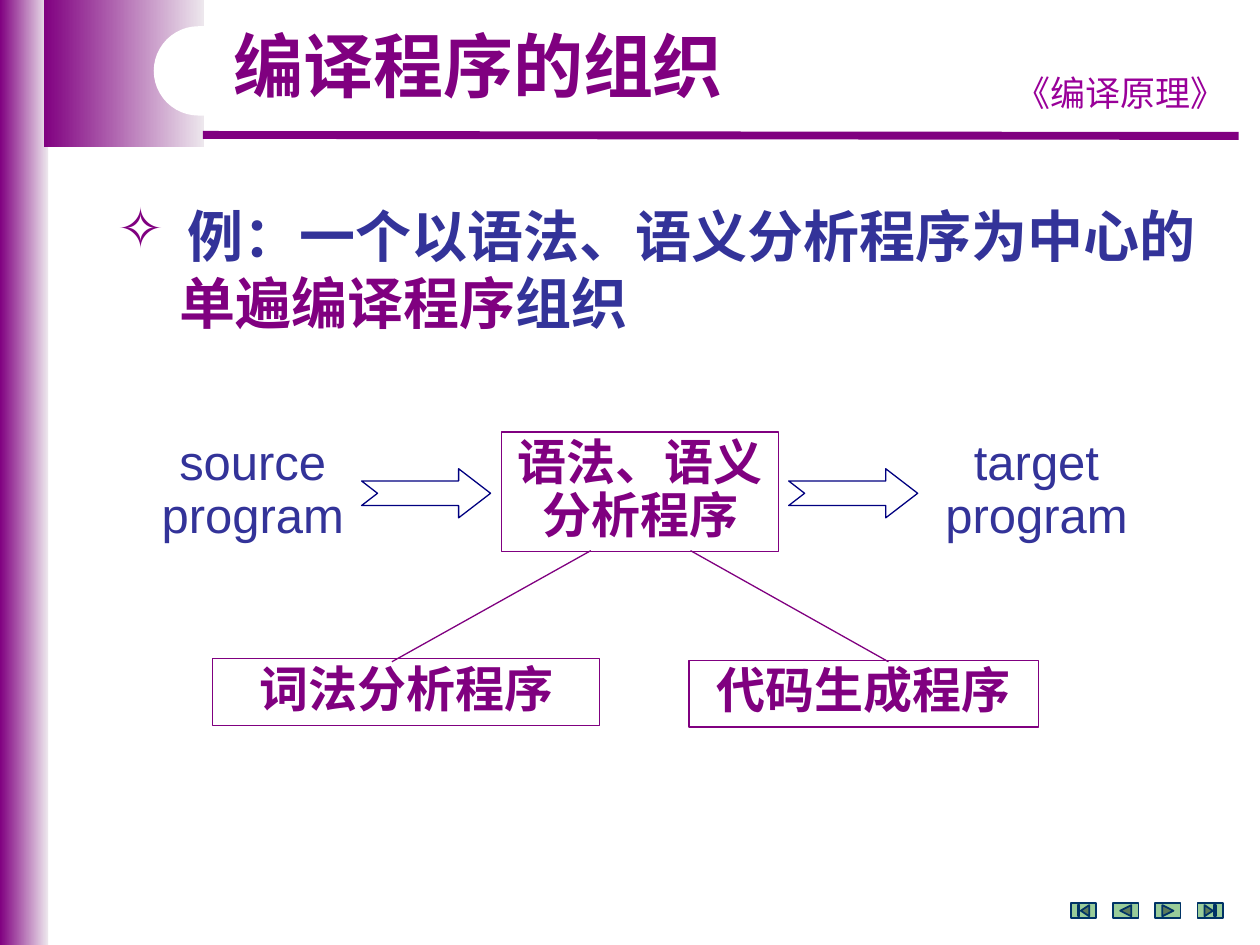
from pptx import Presentation
from pptx.dml.color import RGBColor
from pptx.enum.shapes import MSO_CONNECTOR, MSO_SHAPE as Preset
from pptx.enum.text import MSO_ANCHOR, PP_ALIGN as Align
from pptx.oxml.ns import qn
from pptx.util import Cm, Pt
from lxml.etree import SubElement

PURPLE, BLUE, NAVY, WHITE = "800080", "333399", "000080", "FFFFFF"
PALE, VIOLET, GREEN, TEAL = "EDE7ED", "990099", "99CC99", "003366"


def color(value):
    """Turn a hex string into a colour."""
    return RGBColor.from_string(value)


def add_text(frame, spans, size=28, bold=False, font="Arial", align=Align.CENTER,
             spacing=0.9, indent=0, bullet=None, new=False):
    """Write one paragraph of (text, colour) spans and return it."""
    frame.word_wrap = True
    frame.vertical_anchor = MSO_ANCHOR.TOP
    para = frame.add_paragraph() if new else frame.paragraphs[0]
    para.alignment, para.line_spacing = align, spacing
    for text, tint in spans:
        span = para.add_run()
        span.text = text
        span.font.size, span.font.bold, span.font.name = Pt(size), bold, font
        span.font.color.rgb = color(tint)
        SubElement(span.font._element, qn("a:ea")).set("typeface", font)
    props = para._p.get_or_add_pPr()
    if indent:
        props.set("marL", str(Cm(indent)))
    if bullet:
        props.set("indent", str(-Cm(indent)))
        tint = SubElement(SubElement(props, qn("a:buClr")), qn("a:srgbClr"))
        tint.set("val", PURPLE)
        SubElement(props, qn("a:buChar")).set("char", bullet)
    return para


def add_box(page, x, y, width, height):
    """Add an empty text box."""
    return page.shapes.add_textbox(Cm(x), Cm(y), Cm(width), Cm(height)).text_frame


def add_shape(page, preset, x, y, width, height, fill=None, line=None, weight=0.75):
    """Add a flat preset shape; a pair of colours makes a gradient fill."""
    shape = page.shapes.add_shape(preset, Cm(x), Cm(y), Cm(width), Cm(height))
    shape.shadow.inherit = False
    if isinstance(fill, tuple):
        shape.fill.gradient()
        shape.fill.gradient_angle = 0
        for stop, tint in zip(shape.fill.gradient_stops, fill):
            stop.color.rgb = color(tint)
    elif fill:
        shape.fill.solid()
        shape.fill.fore_color.rgb = color(fill)
    else:
        shape.fill.background()
    if line:
        shape.line.color.rgb = color(line)
        shape.line.width = Pt(weight)
    else:
        shape.line.fill.background()
    return shape


def add_line(page, x1, y1, x2, y2, weight=0.75):
    """Add a straight purple line."""
    line = page.shapes.add_connector(MSO_CONNECTOR.STRAIGHT, Cm(x1), Cm(y1), Cm(x2), Cm(y2))
    line.line.color.rgb = color(PURPLE)
    line.line.width = Pt(weight)
    SubElement(line._element.spPr, qn("a:effectLst"))


def draw_frame(page, x, y, width, height):
    """Draw the side band, corner block, rule and course name."""
    fade = (PURPLE, PALE)
    add_shape(page, Preset.RECTANGLE, x, y, 0.97, height, fade)
    add_shape(page, Preset.RECTANGLE, x + 0.89, y, 3.22, 2.97, fade)
    add_line(page, x + 4.09, y + 2.72, x + width - 0.43, y + 2.74, 4.5)
    course = add_box(page, x + width - 5.31, y + 1.32, 5, 1.09)
    add_text(course, [("《编译原理》", VIOLET)], size=20, font="Noto Sans CJK SC", spacing=1)
    notch = add_shape(page, Preset.ROUNDED_RECTANGLE, x + 3.1, y + 0.53, 9.19, 1.8, WHITE)
    notch.adjustments[0] = 0.5


def draw_buttons(page, x, y, width, height):
    """Draw the row of navigation buttons, spread over the width."""
    presets = (Preset.ACTION_BUTTON_BEGINNING, Preset.ACTION_BUTTON_BACK_OR_PREVIOUS,
               Preset.ACTION_BUTTON_FORWARD_OR_NEXT, Preset.ACTION_BUTTON_END)
    size = 0.51
    pitch = (width - size) / (len(presets) - 1)
    for index, preset in enumerate(presets):
        add_shape(page, preset, x + index * pitch, y, size, height, GREEN, TEAL, 1)


def draw_heading(page, x, y, width, height):
    """Write the slide title."""
    add_text(add_box(page, x, y, width, height), [("编译程序的组织", PURPLE)], size=40, bold=True)


def draw_example(page, x, y, width, height):
    """Write the bulleted example and its second line."""
    frame = add_box(page, x, y, width, height)
    look = dict(size=32, bold=True, align=Align.LEFT, spacing=1)
    add_text(frame, [("例：一个以语法、语义分析程序为中心的", BLUE)], indent=1.42, bullet="✧", **look)
    add_text(frame, [("单遍编译程序", PURPLE), ("组织", BLUE)], indent=1.25, new=True, **look)


def draw_diagram(page, x, y, width, height):
    """Draw the flow from source to target with the two helper programs."""
    side = 5.21
    for label, left in (("source program", x), ("target program", x + width - side)):
        add_text(add_box(page, left, y, side, 2.41), [(label, BLUE)])
    for left in (4.8, 13.41):
        arrow = add_shape(page, Preset.NOTCHED_RIGHT_ARROW, x + left, y + 0.74, 2.6, 0.99,
                          WHITE, NAVY)
        arrow.adjustments[0], arrow.adjustments[1] = 0.5, 0.65
    low = 1.35
    programs = (("语法、语义分析程序", 7.62, 0, 5.59, 2.41),
                ("词法分析程序", 1.8, height - low - 0.03, 7.8, low),
                ("代码生成程序", 11.4, height - low, 7.04, low))
    for label, left, top, wide, tall in programs:
        box = add_shape(page, Preset.RECTANGLE, x + left, y + top, wide, tall, line=PURPLE)
        add_text(box.text_frame, [(label, PURPLE)], bold=True)
    for upper, lower in ((9.42, 5.41), (11.43, 15.42)):
        add_line(page, x + upper, y + 2.39, x + lower, y + 4.63)


deck = Presentation()
deck.slide_width, deck.slide_height = Cm(25.4), Cm(19.05)
page = deck.slides.add_slide(deck.slide_layouts[6])
draw_frame(page, 0, 0, 25.4, 19.05)
draw_buttons(page, 21.59, 18.21, 3.06, 0.3)
draw_heading(page, 4.19, 0.53, 10.9, 1.78)
draw_example(page, 2.11, 3.94, 22.91, 2.97)
draw_diagram(page, 2.49, 8.71, 21.01, 5.95)
deck.save("out.pptx")
